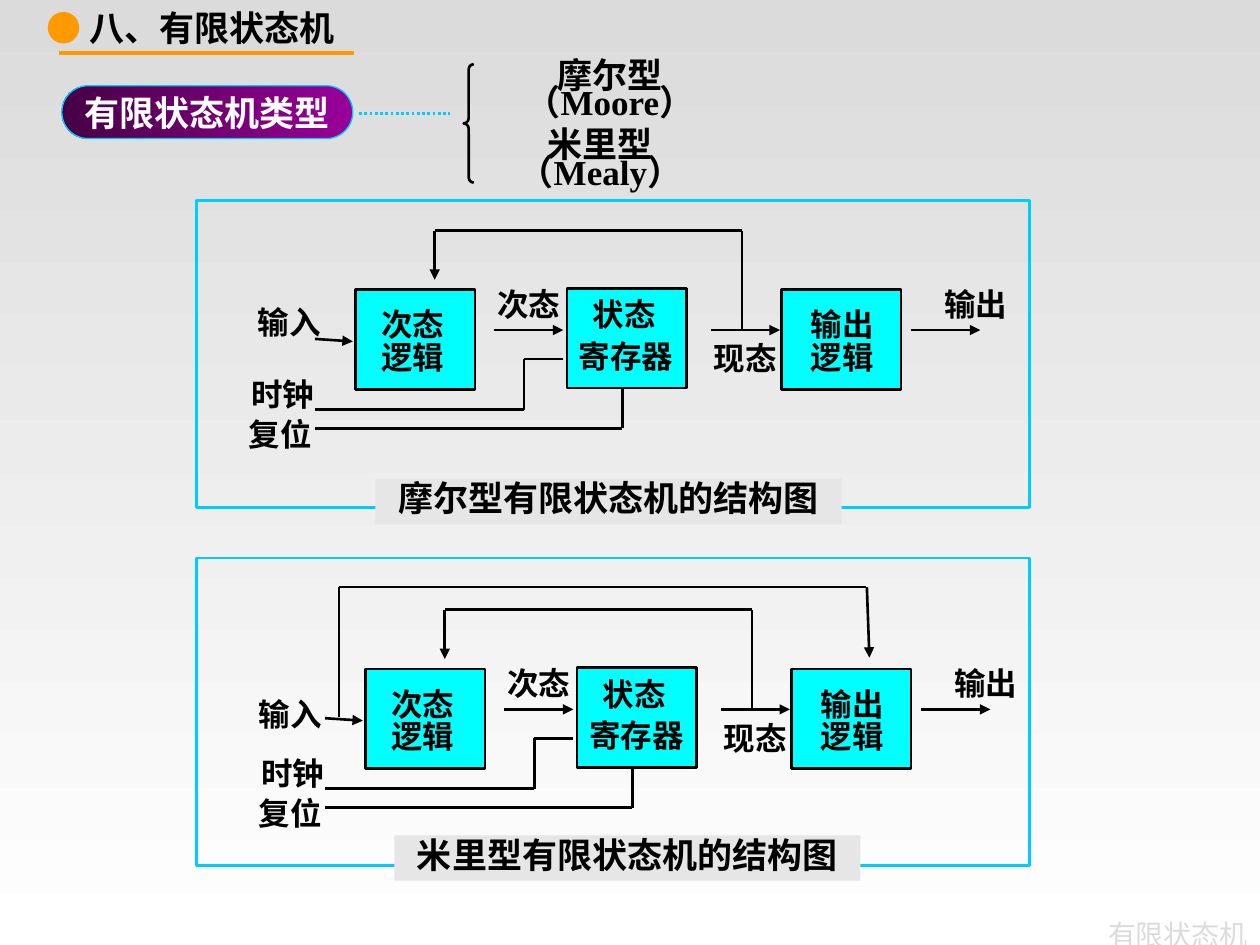
from dataclasses import dataclass
from itertools import pairwise
from typing import Optional

from lxml.etree import SubElement
from pptx import Presentation
from pptx.dml.color import RGBColor
from pptx.dml.fill import FillFormat
from pptx.enum.dml import MSO_LINE_DASH_STYLE as Dash
from pptx.enum.shapes import MSO_CONNECTOR as Connector, MSO_SHAPE as Preset
from pptx.enum.text import MSO_ANCHOR as Anchor, MSO_AUTO_SIZE as AutoSize, PP_ALIGN as Align
from pptx.oxml.ns import qn
from pptx.shapes.autoshape import Shape
from pptx.slide import Slide
from pptx.util import Inches, Pt

WIDTH, HEIGHT = Inches(10), Inches(7.5)
COLUMN, ROW = WIDTH / 100, HEIGHT / 75
COLORS = {
    "ink": "000000", "paper": "FFFFFF", "mist": "DBDBDB", "caption": "E6E6E6",
    "orange": "FF9900", "sky": "00CCFF", "cyan": "00FFFF",
    "purple": "990099", "plum": "460046",
}
INSETS = {"margin_left": Inches(0.1), "margin_right": Inches(0.1),
          "margin_top": Inches(0.09), "margin_bottom": Inches(0.05)}
GROWING = {**INSETS, "word_wrap": True, "auto_size": AutoSize.SHAPE_TO_FIT_TEXT}
HEADING = {**GROWING, "margin_top": Inches(0.05)}
FOOTER = {**INSETS, "margin_top": Inches(0.05), "word_wrap": True,
          "vertical_anchor": Anchor.MIDDLE}
PILL = {**dict.fromkeys(INSETS, 0), "word_wrap": False, "vertical_anchor": Anchor.MIDDLE}

Point = tuple[float, float]


@dataclass(frozen=True)
class Area:
    column: float
    row: float
    columns: float
    rows: float

    def shifted(self, columns: float, rows: float) -> "Area":
        return Area(self.column + columns, self.row + rows, self.columns, self.rows)

    def lengths(self) -> list[int]:
        return [round(self.column * COLUMN), round(self.row * ROW),
                round(self.columns * COLUMN), round(self.rows * ROW)]


@dataclass(frozen=True)
class Label:
    text: str
    area: Area
    size: float = 18
    spacing: float = 0.85


@dataclass(frozen=True)
class Route:
    points: tuple[Point, ...]
    arrow: bool = False


@dataclass(frozen=True)
class Diagram:
    shift: Point
    frame: Area
    input_label: Label
    caption: Label
    extra_routes: tuple[Route, ...] = ()


BLOCKS = (Area(45, 22.9, 9.5, 7.9), Area(28.2, 23, 9.5, 7.9), Area(62, 23, 9.5, 7.9))
LABELS = (
    Label("次态逻辑", Area(28.2, 23.8, 9.1, 6.5)),
    Label("状态", Area(46, 23, 7.1, 4)),
    Label("寄存器", Area(44.2, 26.3, 11, 4)),
    Label("输出逻辑", Area(62.5, 23.8, 8.7, 6.5)),
    Label("输出", Area(73.1, 22.2, 8.7, 4)),
    Label("时钟", Area(18.1, 29.3, 8.7, 4)),
    Label("复位", Area(17.9, 32.5, 8.7, 4)),
    Label("现态", Area(54.8, 26.5, 8.7, 4)),
    Label("次态", Area(37.6, 22.2, 8.7, 4)),
)
ROUTES = (
    Route(((25, 26.9), (28, 27.1)), True),
    Route(((39.2, 26.2), (44.7, 26.2)), True),
    Route(((56.4, 26.2), (61.9, 26.2)), True),
    Route(((58.9, 26.2), (58.9, 18.3), (34.5, 18.3), (34.5, 22.2)), True),
    Route(((72.3, 26.2), (77.8, 26.2)), True),
    Route(((25, 32.5), (41.6, 32.5), (41.6, 28.5), (44.7, 28.5))),
    Route(((25, 34), (49.4, 34), (49.4, 30.9))),
)
DIAGRAMS = (
    Diagram((0, 0), Area(15.6, 15.9, 66.1, 24.4),
            Label("输入", Area(18.6, 23.6, 8.7, 4)),
            Label("摩尔型有限状态机的结构图", Area(29.8, 38, 37, 3.6), 20, 0.65)),
    Diagram((0.8, 30.1), Area(15.6, 44.3, 66.1, 24.4),
            Label("输入", Area(18.7, 54.7, 8.7, 4)),
            Label("米里型有限状态机的结构图", Area(31.3, 66.3, 37, 3.6), 20, 0.65),
            (Route(((26.9, 56.9), (26.9, 46.6), (68.7, 46.6))),
             Route(((68.8, 46.6), (69, 52.2)), True))),
)
TYPES = (
    Label("摩尔型（Moore）", Area(37.4, 4.4, 22, 5.8), 20, 0.65),
    Label("米里型（Mealy）", Area(37.4, 9.9, 20.5, 5.8), 20, 0.65),
)


def color(name: str) -> RGBColor:
    return RGBColor.from_string(COLORS[name])


def apply(target: object, values: dict) -> None:
    for name, value in values.items():
        setattr(target, name, value)


def paint_gradient(fill: FillFormat, names: tuple[str, str], angle: float) -> None:
    fill.gradient()
    fill.gradient_angle = angle
    for stop, name, position in zip(fill.gradient_stops, names, (0, 1)):
        stop.color.rgb = color(name)
        stop.position = position


def draw_shape(slide: Slide, area: Area, fill: Optional[str] = None,
               line: Optional[str] = None, weight: float = 1.5,
               preset: Preset = Preset.RECTANGLE) -> Shape:
    shape = slide.shapes.add_shape(preset, *area.lengths())
    shape.shadow.inherit = False
    if fill:
        shape.fill.solid()
        shape.fill.fore_color.rgb = color(fill)
    else:
        shape.fill.background()
    if line:
        shape.line.color.rgb = color(line)
        shape.line.width = Pt(weight)
    else:
        shape.line.fill.background()
    return shape


def write(shape: Shape, runs: list[tuple[str, str, bool]], frame: dict,
          size: float, align: Align, spacing: float = 1.0) -> None:
    apply(shape.text_frame, frame)
    paragraph = shape.text_frame.paragraphs[0]
    apply(paragraph, {"alignment": align, "line_spacing": spacing})
    for text, ink, bold in runs:
        run = paragraph.add_run()
        run.text = text
        apply(run.font, {"name": "Times New Roman", "size": Pt(size), "bold": bold})
        run.font.color.rgb = color(ink)


def draw_text(slide: Slide, area: Area, *content) -> None:
    write(slide.shapes.add_textbox(*area.lengths()), *content)


def draw_label(slide: Slide, label: Label, shift: Point = (0, 0)) -> None:
    draw_text(slide, label.area.shifted(*shift), [(label.text, "ink", True)],
              GROWING, label.size, Align.CENTER, label.spacing)


def draw_route(slide: Slide, route: Route, shift: Point = (0, 0), ink: str = "ink",
               weight: float = 1.5, dash: Optional[Dash] = None) -> None:
    places = [(round((column + shift[0]) * COLUMN), round((row + shift[1]) * ROW))
              for column, row in route.points]
    for start, end in pairwise(places):
        connector = slide.shapes.add_connector(Connector.STRAIGHT, *start, *end)
        connector.line.color.rgb = color(ink)
        apply(connector.line, {"width": Pt(weight), "dash_style": dash})
        properties = connector.element.spPr
        if route.arrow and end == places[-1]:
            SubElement(properties.find(qn("a:ln")), qn("a:tailEnd"), type="triangle")
        SubElement(properties, qn("a:effectLst"))


def draw_header(slide: Slide) -> None:
    draw_text(slide, Area(79.5, 73.3, 20.5, 1.7), [("有限状态机", "mist", False)],
              FOOTER, 16, Align.RIGHT)
    draw_text(slide, Area(2.7, 0, 35, 4.4),
              [("● ", "orange", False), ("八、有限状态机", "ink", True)],
              HEADING, 20, Align.LEFT)
    draw_route(slide, Route(((4.7, 4.2), (28.1, 4.2))), ink="orange", weight=2.25)
    pill = draw_shape(slide, Area(4.9, 6.8, 23.1, 4.2), line="sky", weight=0.75,
                      preset=Preset.ROUNDED_RECTANGLE)
    pill.adjustments[0] = 0.5
    paint_gradient(pill.fill, ("purple", "plum"), 180)
    write(pill, [("有限状态机类型", "paper", True)], PILL, 20, Align.CENTER)
    draw_route(slide, Route(((28.5, 9), (35.7, 9))), ink="sky", dash=Dash.ROUND_DOT)
    brace = draw_shape(slide, Area(36.8, 5.1, 0.8, 9.4), line="ink", preset=Preset.LEFT_BRACE)
    brace.adjustments[0] = 0.5
    for label in TYPES:
        draw_label(slide, label)


def draw_diagram(slide: Slide, diagram: Diagram) -> None:
    for block in BLOCKS:
        draw_shape(slide, block.shifted(*diagram.shift), "cyan", "ink")
    for route in ROUTES:
        draw_route(slide, route, diagram.shift)
    for label in LABELS:
        draw_label(slide, label, diagram.shift)
    draw_label(slide, diagram.input_label)
    for route in diagram.extra_routes:
        draw_route(slide, route)
    draw_shape(slide, diagram.frame, line="sky")
    caption = diagram.caption
    write(draw_shape(slide, caption.area, "caption"), [(caption.text, "ink", True)],
          {**GROWING, "vertical_anchor": Anchor.TOP}, caption.size, Align.CENTER, caption.spacing)


def main() -> None:
    presentation = Presentation()
    apply(presentation, {"slide_width": WIDTH, "slide_height": HEIGHT})
    slide = presentation.slides.add_slide(presentation.slide_layouts[6])
    paint_gradient(slide.background.fill, ("mist", "paper"), 270)
    draw_header(slide)
    for diagram in DIAGRAMS:
        draw_diagram(slide, diagram)
    presentation.save("out.pptx")


if __name__ == "__main__":
    main()
